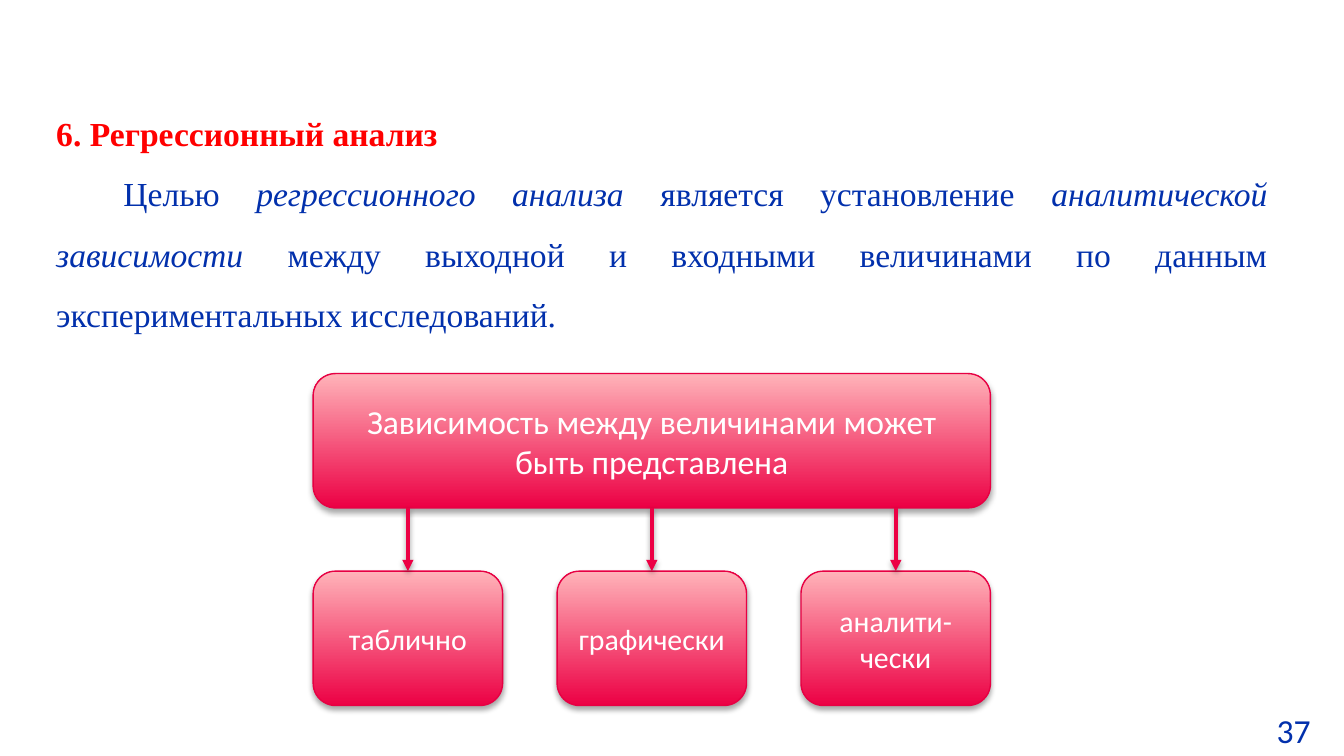
from lxml import etree
from pptx import Presentation
from pptx.dml.color import RGBColor
from pptx.enum.shapes import MSO_CONNECTOR, MSO_SHAPE
from pptx.enum.text import MSO_ANCHOR, PP_ALIGN
from pptx.oxml import parse_xml
from pptx.oxml.ns import nsdecls, qn
from pptx.util import Inches, Pt

HEADING = "6. Регрессионный анализ"
# (text, italic)
GOAL = [
    ("Целью ", False),
    ("регрессионного анализа", True),
    (" является установление ", False),
    ("аналитической зависимости", True),
    (" между выходной и входными величинами по данным экспериментальных исследований.", False),
]
ROOT = "Зависимость между величинами может быть представлена"
FORMS = ["таблично", "графически", "аналити-чески"]
PAGE_NUMBER = "37"

THEME = {
    "serif": "Times New Roman", "sans": "Calibri",
    "heading": "FF0000", "body": "0230AC", "paper": "FFFFFF",
    "box_bottom": "EC0044", "box_top": "FFB3B9", "outline": "E70043",
    "large": 18, "small": 16,
}

# Geometry, inches
SLIDE_WIDTH = 10
SLIDE_HEIGHT = SLIDE_WIDTH * 9 / 16
LEFT, ROOT_TOP, ROOT_WIDTH = 2.33, 2.78, 5.04
FORM_TOP, FORM_WIDTH, BOX_HEIGHT = 4.25, 1.41, 1.0
FORM_STEP = (ROOT_WIDTH - FORM_WIDTH) / (len(FORMS) - 1)


def color(name):
    return RGBColor.from_string(THEME[name])


def style(run, face, size, tint, bold=False, italic=False):
    font = run.font
    font.name, font.size = THEME[face], Pt(THEME[size])
    font.color.rgb = color(tint)
    font.bold, font.italic = bold, italic


def add_shadow(shape, distance, opacity):
    """Soft black shadow falling straight down; distance in points."""
    shape._element.spPr.append(parse_xml(
        f'<a:effectLst {nsdecls("a")}><a:outerShdw blurRad="{Pt(3.1)}" dist="{Pt(distance)}" '
        f'dir="5400000" rotWithShape="0"><a:srgbClr val="000000">'
        f'<a:alpha val="{opacity * 1000}"/></a:srgbClr></a:outerShdw></a:effectLst>'))


def add_text_box(slide, left, top, width, height):
    box = slide.shapes.add_textbox(Inches(left), Inches(top), Inches(width), Inches(height))
    box.text_frame.word_wrap = True
    return box


def add_box(slide, text, left, top, width, size):
    box = slide.shapes.add_shape(MSO_SHAPE.ROUNDED_RECTANGLE, Inches(left), Inches(top),
                                 Inches(width), Inches(BOX_HEIGHT))
    box.fill.gradient()
    box.fill.gradient_angle = 90
    for stop, tint in zip(box.fill.gradient_stops, ("box_bottom", "box_top")):
        stop.color.rgb = color(tint)
    box.line.color.rgb = color("outline")
    box.line.width = Pt(0.75)
    add_shadow(box, 1.8, 35)
    frame = box.text_frame
    frame.text = text
    frame.word_wrap = True
    frame.vertical_anchor = MSO_ANCHOR.MIDDLE
    paragraph = frame.paragraphs[0]
    paragraph.alignment = PP_ALIGN.CENTER
    style(paragraph.runs[0], "sans", size, "paper")
    return box


def add_arrow(slide, root, form):
    center = form.left + form.width // 2
    arrow = slide.shapes.add_connector(MSO_CONNECTOR.STRAIGHT, center, root.top + root.height,
                                       center, form.top)
    arrow.end_connect(form, 0)
    arrow.line.color.rgb = color("box_bottom")
    arrow.line.width = Pt(2)
    etree.SubElement(arrow.line._get_or_add_ln(), qn("a:tailEnd"), type="triangle")
    add_shadow(arrow, 1.6, 38)


def add_introduction(slide):
    box = add_text_box(slide, 0.32, 0.79, 9.21, 2.22)
    box.fill.solid()
    box.fill.fore_color.rgb = color("paper")
    frame = box.text_frame
    frame.text = HEADING
    style(frame.paragraphs[0].runs[0], "serif", "large", "heading", bold=True)
    goal = frame.add_paragraph()
    goal.alignment = PP_ALIGN.JUSTIFY
    goal.line_spacing = 1.5
    goal._p.get_or_add_pPr().set("indent", str(Inches(0.5)))
    for text, italic in GOAL:
        run = goal.add_run()
        run.text = text
        style(run, "serif", "large", "body", italic=italic)


def main():
    presentation = Presentation()
    presentation.slide_width = Inches(SLIDE_WIDTH)
    presentation.slide_height = Inches(SLIDE_HEIGHT)
    slide = presentation.slides.add_slide(presentation.slide_layouts[6])

    add_introduction(slide)
    page = add_text_box(slide, 9.4, 5.23, 0.61, 0.4)
    page.text_frame.text = PAGE_NUMBER
    style(page.text_frame.paragraphs[0].runs[0], "sans", "large", "body")

    root = add_box(slide, ROOT, LEFT, ROOT_TOP, ROOT_WIDTH, "large")
    for index, text in enumerate(FORMS):
        form = add_box(slide, text, LEFT + index * FORM_STEP, FORM_TOP, FORM_WIDTH, "small")
        add_arrow(slide, root, form)

    presentation.save("out.pptx")


if __name__ == "__main__":
    main()
